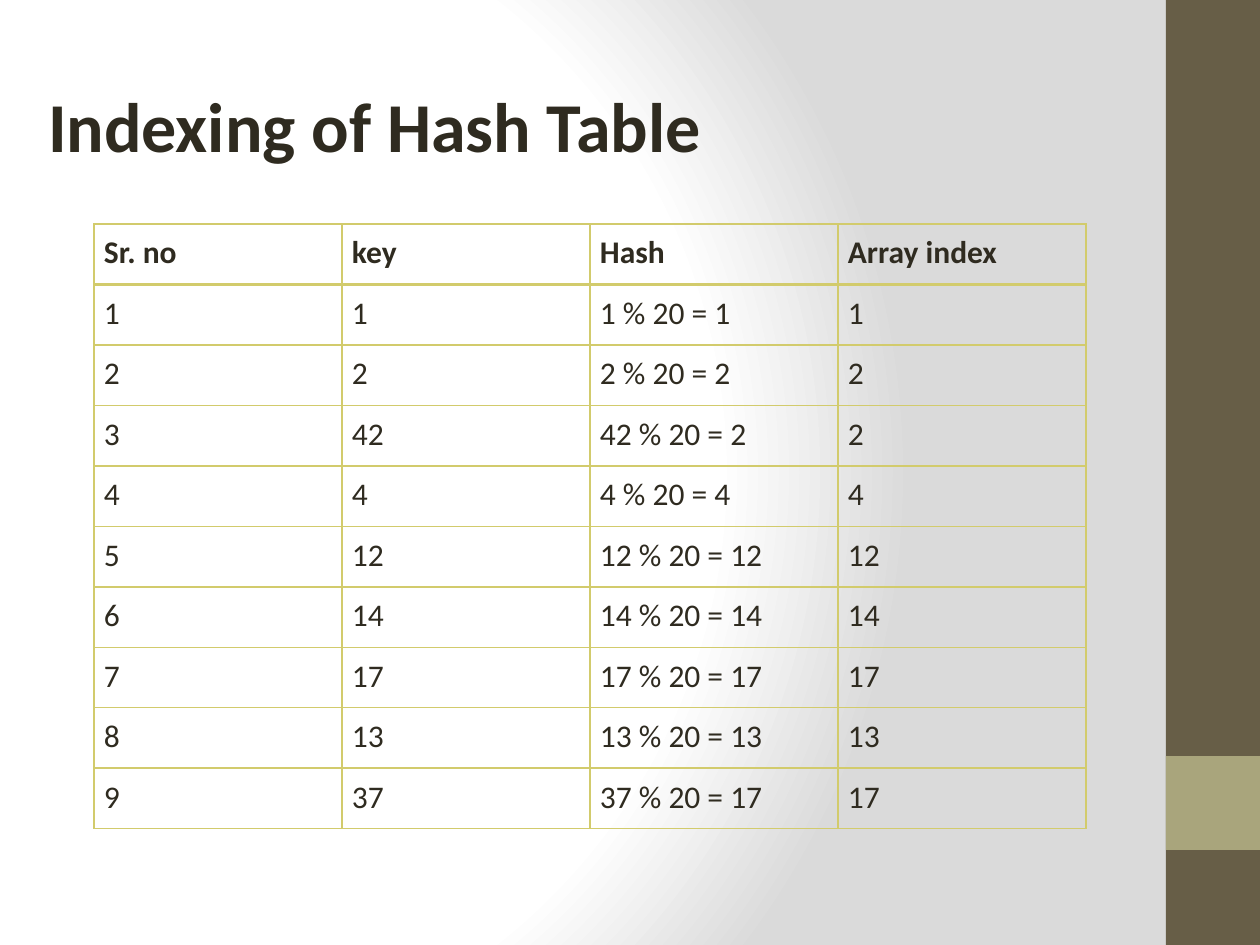
from pptx import Presentation
from pptx import util as u
from pptx.dml import color
from pptx.enum import shapes, text
from pptx.oxml import parse_xml
from pptx.oxml import ns

PX = 914400 // 126
DARK, LINE = "2F2B20", "D2CB6C"


def rgb(hex_string):
    return color.RGBColor.from_string(hex_string)


def write(frame, words, size, bold=False, inset=10):
    frame.margin_left = frame.margin_right = inset * PX
    paragraph = frame.paragraphs[0]
    paragraph.alignment = text.PP_ALIGN.LEFT
    run = paragraph.add_run()
    run.text = words
    run.font.name, run.font.size, run.font.bold = "Calibri", u.Pt(size), bold
    run.font.color.rgb = rgb(DARK)


presentation = Presentation()
presentation.slide_width, presentation.slide_height = u.Inches(10), u.Inches(7.5)
slide = presentation.slides.add_slide(presentation.slide_layouts[5])

# Background: circular gradient from white to grey
stops = "".join(
    f'<a:gs pos="{percent * 1000}"><a:srgbClr val="{tone}"/></a:gs>'
    for percent, tone in [(0, "FFFFFF"), (75, "FFFFFF"), (100, "DADADA")])
background = parse_xml(
    f'<p:bg {ns.nsdecls("p", "a")}><p:bgPr><a:gradFill rotWithShape="1">'
    f'<a:gsLst>{stops}</a:gsLst><a:path path="circle">'
    '<a:fillToRect l="20000" t="50000" r="100000" b="50000"/></a:path>'
    '</a:gradFill><a:effectLst/></p:bgPr></p:bg>')
slide.element.cSld.insert(0, background)

# Side bar and its accent square
for top, height, tone in [(0, 945, "675E47"), (756, 94, "A9A57C")]:
    bar = slide.shapes.add_shape(
        shapes.MSO_SHAPE.RECTANGLE, 1166 * PX, top * PX, 94 * PX, height * PX)
    bar.shadow.inherit = False
    bar.fill.solid()
    bar.fill.fore_color.rgb = rgb(tone)
    bar.line.fill.background()

# Title
title = slide.shapes.title
title.left, title.top, title.width, title.height = (
    length * PX for length in (35, 76, 824, 97))
title.text_frame.vertical_anchor = text.MSO_ANCHOR.TOP
title.text_frame.word_wrap = True
write(title.text_frame, "Indexing of Hash Table", 40, bold=True, inset=13)

# Table: the array index is the key's hash, key % 20
keys = [1, 2, 42, 4, 12, 14, 17, 13, 37]
rows = [("Sr. no", "key", "Hash", "Array index")]
for number, key in enumerate(keys, 1):
    index = key % 20
    rows.append((number, key, f"{key} % 20 = {index}", index))

table = slide.shapes.add_table(
    len(rows), 4, 94 * PX, 224 * PX, 992 * PX, 605 * PX).table
table.horz_banding = False
for row_number, values in enumerate(rows):
    for column_number, value in enumerate(values):
        cell = table.cell(row_number, column_number)
        cell.margin_top = cell.margin_bottom = 10 * PX
        cell.fill.background()
        write(cell.text_frame, str(value), 18, bold=row_number == 0)
        cell.margin_left = cell.margin_right = 10 * PX
        # Borders, heavier under the header
        for position, side in enumerate("LRTB"):
            heavy = (row_number, side) in [(0, "B"), (1, "T")]
            border = parse_xml(
                f'<a:ln{side} {ns.nsdecls("a")} w="{u.Pt(2 if heavy else 1)}">'
                f'<a:solidFill><a:srgbClr val="{LINE}"/></a:solidFill></a:ln{side}>')
            cell._tc.get_or_add_tcPr().insert(position, border)

presentation.save("out.pptx")
